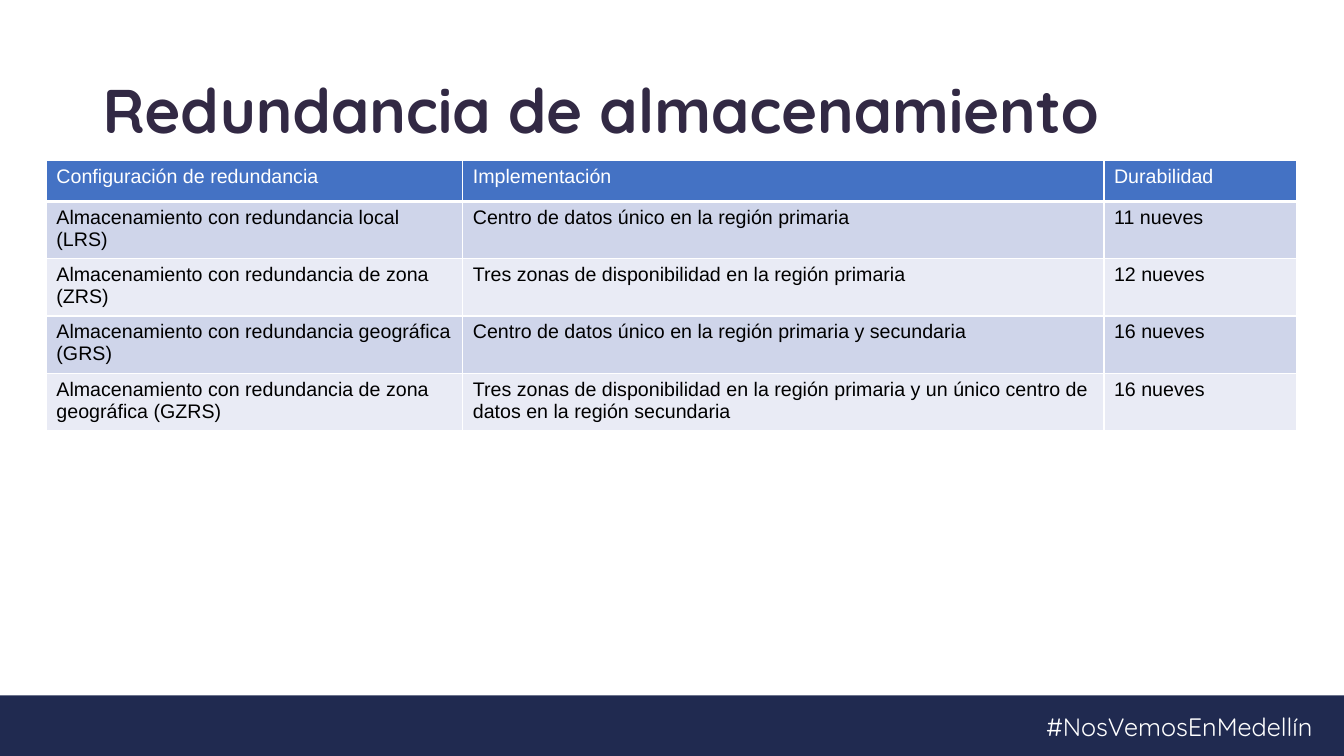
"""Slide with a table of storage redundancy options."""
from lxml import etree
from pptx import Presentation
from pptx import util as u
from pptx.dml.color import RGBColor
from pptx.enum import shapes, text
from pptx.oxml.ns import qn

COLORS = {"navy": "202A50", "title": "322944", "head": "4472C4", "odd": "CFD5EA",
          "even": "E9EBF5", "white": "FFFFFF", "black": "000000"}
ROWS = [
    ("Configuración de redundancia", "Implementación", "Durabilidad"),
    ("Almacenamiento con redundancia local (LRS)",
     "Centro de datos único en la región primaria", "11 nueves"),
    ("Almacenamiento con redundancia de zona (ZRS)",
     "Tres zonas de disponibilidad en la región primaria", "12 nueves"),
    ("Almacenamiento con redundancia geográfica (GRS)",
     "Centro de datos único en la región primaria y secundaria", "16 nueves"),
    ("Almacenamiento con redundancia de zona geográfica (GZRS)",
     "Tres zonas de disponibilidad en la región primaria y un único centro de datos "
     "en la región secundaria", "16 nueves"),
]
COL_WIDTHS = [4.13, 6.36, 1.91]
ROW_HEIGHT = 0.41


def rgb(name):
    return RGBColor.from_string(COLORS[name])


def write(tf, words, size, font, color, bold=False):
    tf.word_wrap = True
    p = tf.paragraphs[0]
    p.text = words
    p.font.size, p.font.name, p.font.bold = u.Pt(size), font, bold
    p.font.color.rgb = rgb(color)
    return p


prs = Presentation()
prs.slide_width, prs.slide_height = u.Inches(13.33), u.Inches(7.5)
W, H = prs.slide_width, prs.slide_height
s = prs.slides.add_slide(prs.slide_layouts[6])

footer_top = int(H * 0.92)
footer = s.shapes.add_shape(shapes.MSO_SHAPE.RECTANGLE, 0, footer_top, W, H - footer_top)
footer.shadow.inherit = False
footer.fill.solid()
footer.fill.fore_color.rgb = rgb("navy")
footer.line.fill.background()

hashtag = s.shapes.add_textbox(u.Inches(10.28), u.Inches(7.01), u.Inches(3.26), u.Inches(0.4))
write(hashtag.text_frame, "#NosVemosEnMedellín", 18, "Quicksand", "white")

title = s.shapes.add_textbox(u.Inches(0.92), u.Inches(0.4), u.Inches(11.5), u.Inches(1.45))
title.text_frame.vertical_anchor = text.MSO_ANCHOR.MIDDLE
p = write(title.text_frame, "Redundancia de almacenamiento", 44, "Quicksand", "title", True)
p.line_spacing = 0.9

table = s.shapes.add_table(len(ROWS), len(COL_WIDTHS), u.Inches(0.46), u.Inches(1.59),
                           u.Inches(sum(COL_WIDTHS)), u.Inches(ROW_HEIGHT * len(ROWS))).table
for col, width in zip(table.columns, COL_WIDTHS):
    col.width = u.Inches(width)

for i, row in enumerate(ROWS):
    table.rows[i].height = u.Inches(ROW_HEIGHT)
    fill = "head" if i == 0 else "odd" if i % 2 else "even"
    for j, words in enumerate(row):
        cell = table.cell(i, j)
        write(cell.text_frame, words, 14, "Arial", "black" if i else "white")
        tcPr = cell._tc.get_or_add_tcPr()
        for side in ("lnL", "lnR", "lnT", "lnB"):
            points = 3 if i == 0 and side == "lnB" else 1
            ln = etree.SubElement(tcPr, qn(f"a:{side}"), w=str(u.Pt(points)))
            solid = etree.SubElement(ln, qn("a:solidFill"))
            etree.SubElement(solid, qn("a:srgbClr"), val=COLORS["white"])
        cell.fill.solid()
        cell.fill.fore_color.rgb = rgb(fill)

prs.save("out.pptx")
